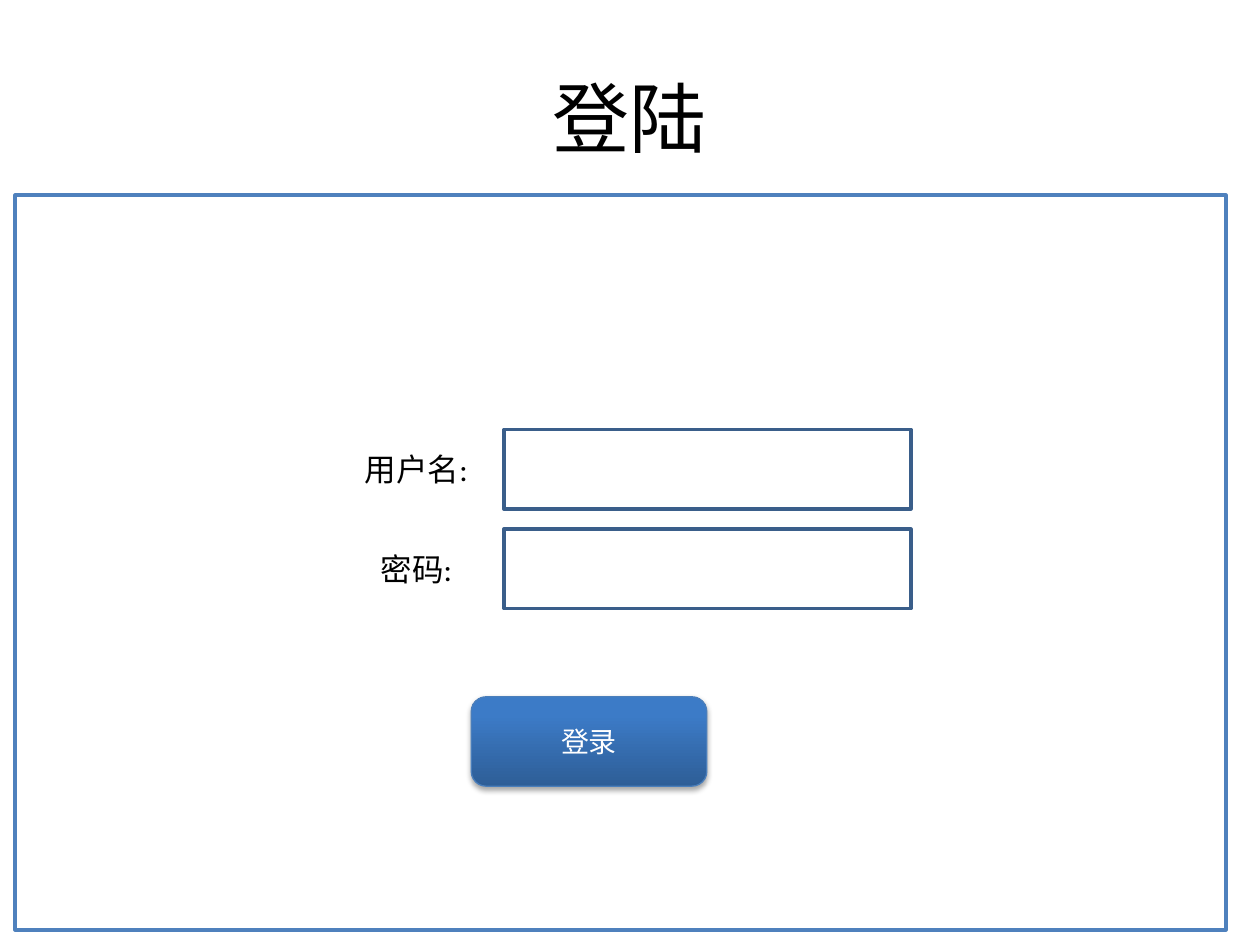
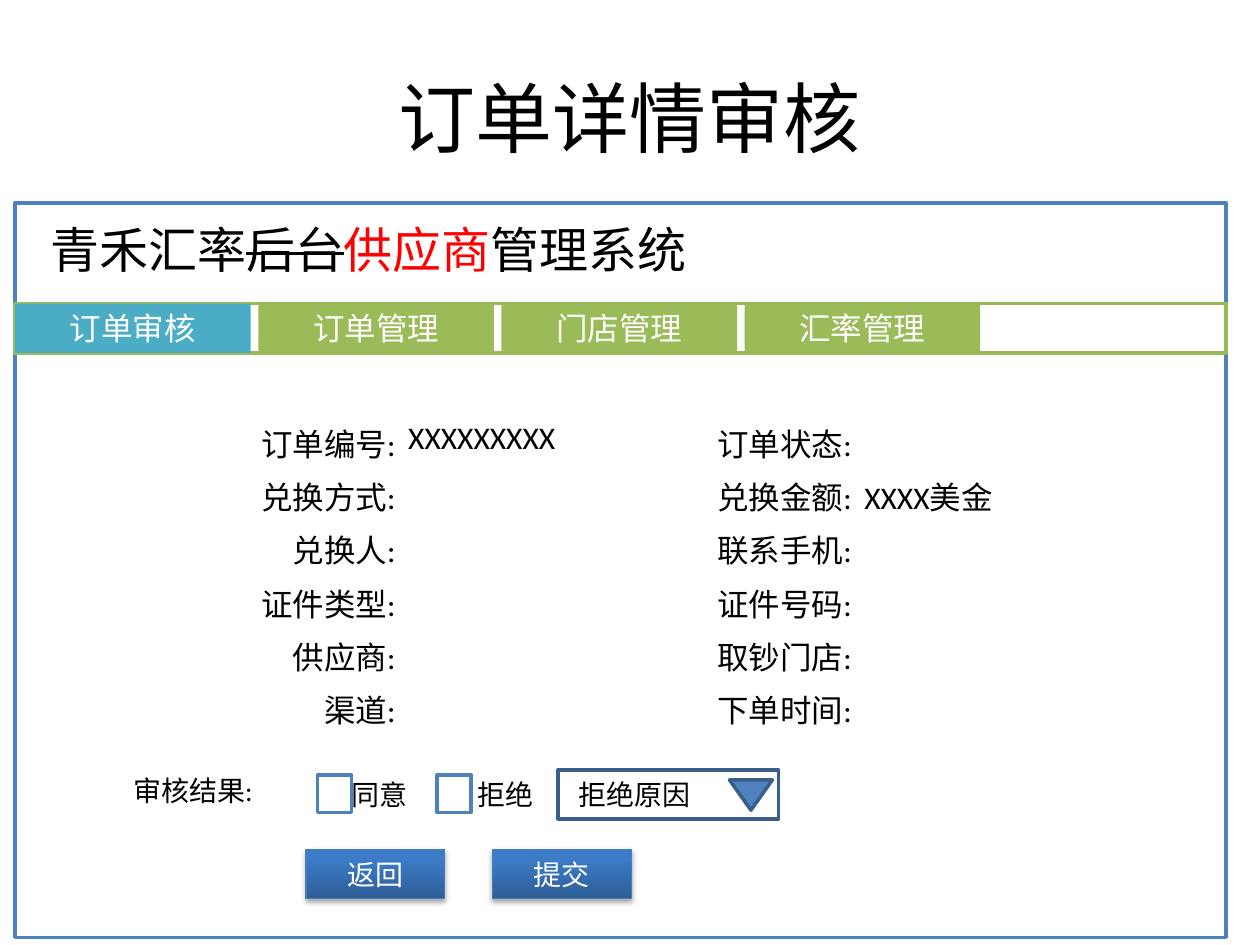
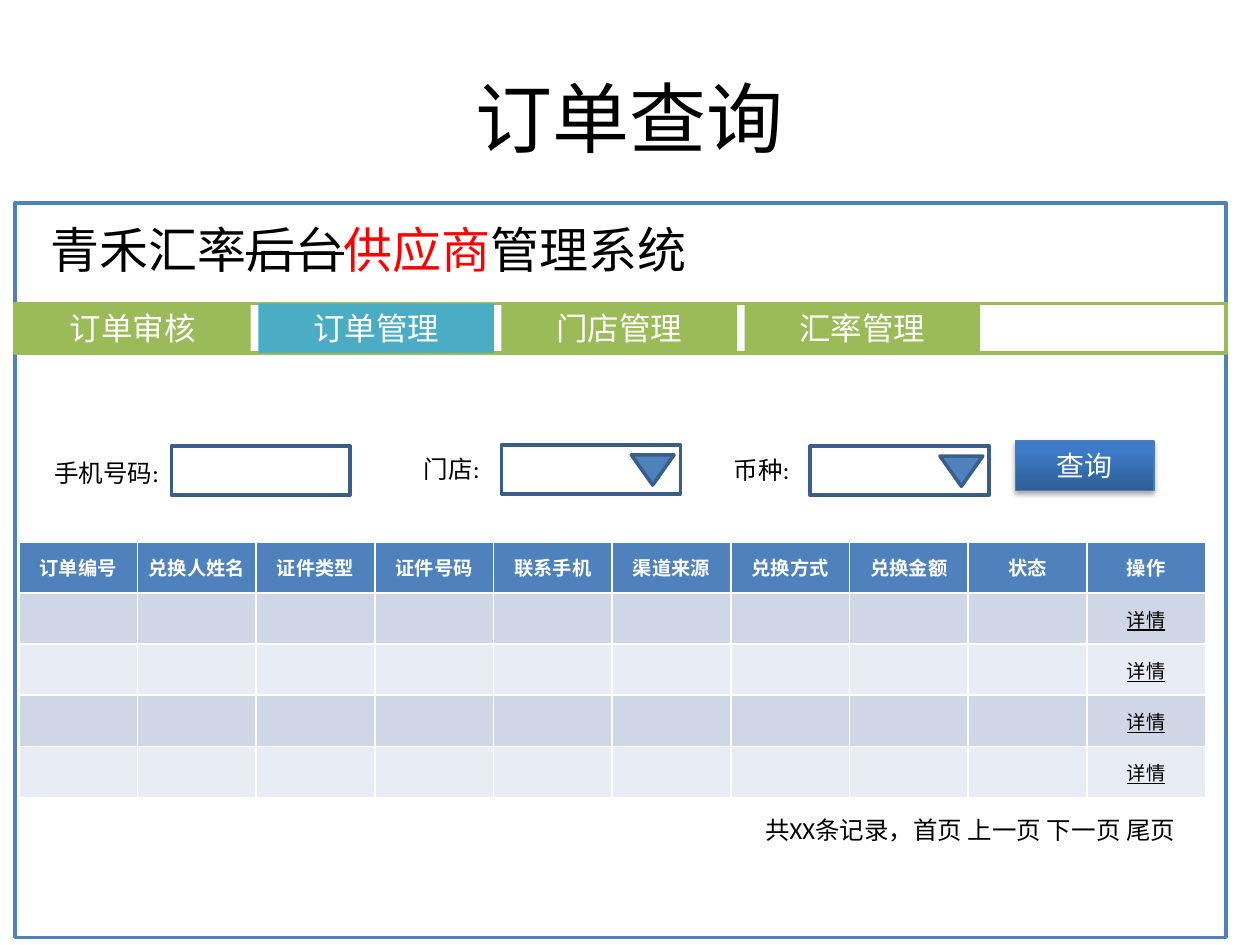
import copy
import dataclasses

import pptx
import pptx.dml.color
import pptx.enum.shapes
import pptx.enum.text
import pptx.oxml
import pptx.oxml.ns
import pptx.util

Inches = pptx.util.Inches
SHAPES = pptx.enum.shapes.MSO_SHAPE
ALIGN = pptx.enum.text.PP_ALIGN
ANCHOR = pptx.enum.text.MSO_ANCHOR


@dataclasses.dataclass(frozen=True)
class Theme:
    """Colours, type sizes and measures shared by the slides."""
    font: str = "Calibri"
    black: str = "000000"
    white: str = "FFFFFF"
    red: str = "FF0000"
    blue: str = "4F81BD"
    dark_blue: str = "3A5E8A"
    button_line: str = "4A7EBB"
    button_stops: tuple = ((0, "2E5E97"), (0.8, "3C7BC7"), (1, "3A7CCA"))
    green: str = "9BBB59"
    teal: str = "4BACC6"
    bands: tuple = ("CFD7E7", "E8ECF4")
    title: int = 44
    system: int = 28
    body: int = 18
    control: int = 16
    small: int = 14
    cell: int = 11
    inset: float = 0.05
    outline: float = 2


@dataclasses.dataclass(frozen=True)
class Box:
    """A rectangle in inches."""
    left: float
    top: float
    width: float
    height: float

    def inner(self, left, top, width, height):
        """Return a box placed relative to this one."""
        return Box(self.left + left, self.top + top, width, height)

    def lengths(self):
        """Return the four measures as lengths."""
        return [Inches(value) for value in dataclasses.astuple(self)]


THEME = Theme()
TITLE_BOX = Box(0.5, 0.3, 9, 1.25)
LOGIN_BOX = Box(0.12, 1.55, 9.61, 5.83)
SYSTEM_BOX = Box(0.12, 1.61, 9.61, 5.83)
TABS = ("订单审核", "订单管理", "门店管理", "汇率管理")
SYSTEM_NAME = (("青禾汇率", THEME.black), ("后台", THEME.black),
               ("供应商", THEME.red), ("管理系统", THEME.black))
STRUCK = "后台"
DETAILS = (
    ("订单编号:", "XXXXXXXXX", "订单状态:", ""),
    ("兑换方式:", "", "兑换金额:", "XXXX美金"),
    ("兑换人:", "", "联系手机:", ""),
    ("证件类型:", "", "证件号码:", ""),
    ("供应商:", "", "取钞门店:", ""),
    ("渠道:", "", "下单时间:", ""),
)
ORDER_HEADS = ("订单编号", "兑换人姓名", "证件类型", "证件号码", "联系手机",
               "渠道来源", "兑换方式", "兑换金额", "状态", "操作")
ORDER_ROWS = 4


def rgb(code):
    """Turn a hex code into a colour."""
    return pptx.dml.color.RGBColor.from_string(code)


def format_span(span, size, colour, bold=False, underline=False):
    """Set the font of one run."""
    span.font.name = THEME.font
    span.font.size = pptx.util.Pt(size)
    span.font.color.rgb = rgb(colour)
    span.font.bold = bold
    span.font.underline = underline


def set_insets(holder):
    """Give a text frame or table cell the shared margins."""
    holder.margin_left = holder.margin_right = Inches(THEME.inset)
    holder.margin_top = holder.margin_bottom = Inches(THEME.inset)


def write(frame, text, size, colour=THEME.black, align=ALIGN.CENTER, anchor=ANCHOR.MIDDLE):
    """Put one formatted line into a text frame."""
    set_insets(frame)
    frame.word_wrap = True
    frame.vertical_anchor = anchor
    para = frame.paragraphs[0]
    para.text = text
    para.alignment = align
    for span in para.runs:
        format_span(span, size, colour)


def add_label(page, box, text, size, align=ALIGN.CENTER, anchor=ANCHOR.MIDDLE):
    """Add a line of text in a box."""
    label = page.shapes.add_textbox(*box.lengths())
    write(label.text_frame, text, size, THEME.black, align, anchor)
    return label


def add_block(page, box, fill=None, line=None, kind=SHAPES.RECTANGLE, width=THEME.outline):
    """Add a flat shape with an optional fill and outline."""
    block = page.shapes.add_shape(kind, *box.lengths())
    block.shadow.inherit = False
    if fill:
        block.fill.solid()
        block.fill.fore_color.rgb = rgb(fill)
    else:
        block.fill.background()
    if line:
        block.line.color.rgb = rgb(line)
        block.line.width = pptx.util.Pt(width)
    else:
        block.line.fill.background()
    return block


def add_button(page, box, text, rounding=0):
    """Add a shaded button with a soft shadow."""
    button = add_block(page, box, None, THEME.button_line, SHAPES.ROUNDED_RECTANGLE, 0.75)
    button.adjustments[0] = rounding
    button.fill.gradient()
    button.fill.gradient_angle = 90
    properties = button._element.spPr
    stops = properties.find(".//" + pptx.oxml.ns.qn("a:gsLst"))
    stops.append(copy.deepcopy(stops[-1]))
    for stop, (position, colour) in zip(button.fill.gradient_stops, THEME.button_stops):
        stop.position = position
        stop.color.rgb = rgb(colour)
    properties.find(pptx.oxml.ns.qn("a:effectLst")).append(pptx.oxml.parse_xml(
        f'<a:outerShdw {pptx.oxml.ns.nsdecls("a")} blurRad="38100" dist="22860" '
        'dir="5400000" rotWithShape="0"><a:srgbClr val="000000">'
        '<a:alpha val="35000"/></a:srgbClr></a:outerShdw>'))
    write(button.text_frame, text, THEME.control, THEME.white)


def add_field(page, box):
    """Add an empty input field."""
    add_block(page, box, None, THEME.dark_blue)


def add_dropdown(page, box):
    """Add an input field with a downward arrow at its right end."""
    add_field(page, box)
    arrow = add_block(page, box.inner(box.width - 0.39, 0.08, 0.34, 0.24),
                      THEME.blue, THEME.dark_blue, SHAPES.ISOSCELES_TRIANGLE)
    arrow.rotation = 180


def add_page(deck, title, box):
    """Add a titled slide with an outlined window."""
    page = deck.slides.add_slide(deck.slide_layouts[5])
    holder = page.shapes.title
    holder.left, holder.top, holder.width, holder.height = TITLE_BOX.lengths()
    write(holder.text_frame, title, THEME.title)
    add_block(page, box, THEME.white, THEME.blue)
    return page


def add_system_header(page, box, active):
    """Add the system name and the tabs, one of them active."""
    name = add_label(page, box.inner(0.23, 0.08, 5.98, 0.66), "", THEME.system,
                     ALIGN.LEFT, ANCHOR.TOP)
    for text, colour in SYSTEM_NAME:
        span = name.text_frame.paragraphs[0].add_run()
        span.text = text
        format_span(span, THEME.system, colour)
        if text == STRUCK:
            span._r.get_or_add_rPr().set("strike", "sngStrike")
    bar = box.inner(0, 0.8, box.width, 0.39)
    add_block(page, bar, THEME.white, THEME.green)
    for index, text in enumerate(TABS):
        fill = THEME.teal if text == active else THEME.green
        tab = add_block(page, bar.inner(index * 1.93, 0, 1.87, bar.height), fill)
        write(tab.text_frame, text, THEME.body, THEME.white)


def add_grid(page, box, rows, columns, banded):
    """Add a table with equal columns and rows."""
    table = page.shapes.add_table(rows, columns, *box.lengths()).table
    table.first_row = table.horz_banding = banded
    for column in table.columns:
        column.width = Inches(box.width / columns)
    for row in table.rows:
        row.height = Inches(box.height / rows)
    return table


def fill_cell(cell, text, size, colour, align, anchor, fill=None, bold=False, underline=False):
    """Write and colour one table cell."""
    set_insets(cell)
    cell.vertical_anchor = anchor
    if fill:
        cell.fill.solid()
        cell.fill.fore_color.rgb = rgb(fill)
    else:
        cell.fill.background()
    if text:
        para = cell.text_frame.paragraphs[0]
        para.text = text
        para.alignment = align
        format_span(para.runs[0], size, colour, bold, underline)


def add_details(page, box):
    """Add the grid of order details, captions set to the right."""
    table = add_grid(page, box, len(DETAILS), len(DETAILS[0]), False)
    for row, texts in enumerate(DETAILS):
        for column, text in enumerate(texts):
            align = ALIGN.LEFT if column % 2 else ALIGN.RIGHT
            fill_cell(table.cell(row, column), text, THEME.body, THEME.black, align, ANCHOR.TOP)


def add_review(page, box):
    """Add the review choices and the buttons below them."""
    add_label(page, box.inner(0, 0, 1.23, 0.41), "审核结果:", THEME.control,
              ALIGN.LEFT, ANCHOR.TOP)
    for check, label, text in ((1.51, 1.73, "同意"), (2.46, 2.73, "拒绝")):
        add_block(page, box.inner(check, 0.06, 0.27, 0.3), THEME.white, THEME.blue)
        add_label(page, box.inner(label, 0.03, 0.75, 0.41), text, THEME.control,
                  ALIGN.LEFT, ANCHOR.TOP)
    add_dropdown(page, box.inner(3.42, 0.02, 1.75, 0.39))
    add_label(page, box.inner(3.53, 0.03, 1.18, 0.41), "拒绝原因", THEME.control,
              ALIGN.LEFT, ANCHOR.TOP)
    for index, text in enumerate(("返回", "提交")):
        add_button(page, box.inner(1.42 + index * 1.48, 0.65, 1.1, 0.39), text)


def add_search(page, box):
    """Add the search fields and the query button."""
    inputs = ((0, 0.06, 1.01, "手机号码:", add_field),
              (2.74, 0.03, 3.63, "门店:", add_dropdown),
              (5.2, 0.04, 6.08, "币种:", add_dropdown))
    for label, top, field, text, add_input in inputs:
        add_label(page, box.inner(label, top, 0.99, 0.38), text, THEME.small)
        add_input(page, box.inner(field, min(top, 0.04), 1.42, 0.39))
    add_button(page, box.inner(7.71, 0, 1.1, 0.39), "查询")


def add_orders(page, box):
    """Add the order table and the paging line below it."""
    table = add_grid(page, box, ORDER_ROWS + 1, len(ORDER_HEADS), True)
    last = len(ORDER_HEADS) - 1
    for column, head in enumerate(ORDER_HEADS):
        fill_cell(table.cell(0, column), head, THEME.cell, THEME.white,
                  ALIGN.CENTER, ANCHOR.MIDDLE, THEME.blue, bold=True)
        for row in range(1, ORDER_ROWS + 1):
            fill_cell(table.cell(row, column), "详情" if column == last else "",
                      THEME.cell, THEME.black, ALIGN.CENTER, ANCHOR.MIDDLE,
                      THEME.bands[(row - 1) % 2], underline=True)
    add_label(page, box.inner(4.46, box.height + 0.09, 4.77, 0.38),
              "共XX条记录，首页 上一页 下一页 尾页", THEME.small, ALIGN.RIGHT, ANCHOR.TOP)


def build_login(deck, box):
    """Build the login slide."""
    page = add_page(deck, "登陆", box)
    for index, text in enumerate(("用户名:", "密码:")):
        top = 1.86 + index * 0.79
        add_label(page, box.inner(2.12, top + 0.09, 2.13, 0.45), text, THEME.body)
        add_field(page, box.inner(3.88, top, 3.23, 0.63))
    add_button(page, box.inner(3.62, 3.98, 1.87, 0.71), "登录", 0.167)


def build_review(deck, box):
    """Build the order review slide."""
    page = add_page(deck, "订单详情审核", box)
    add_system_header(page, box, "订单审核")
    add_details(page, box.inner(1.26, 1.67, 7.24, 2.54))
    add_review(page, box.inner(0.89, 4.48, 5.17, 1.04))


def build_query(deck, box):
    """Build the order query slide."""
    page = add_page(deck, "订单查询", box)
    add_system_header(page, box, "订单管理")
    add_search(page, box.inner(0.23, 1.89, 8.81, 0.44))
    add_orders(page, box.inner(0.03, 2.69, 9.42, 2.03))


deck = pptx.Presentation()
deck.slide_width, deck.slide_height = Inches(10), Inches(7.5)
build_login(deck, LOGIN_BOX)
build_review(deck, SYSTEM_BOX)
build_query(deck, SYSTEM_BOX)
deck.save("out.pptx")
